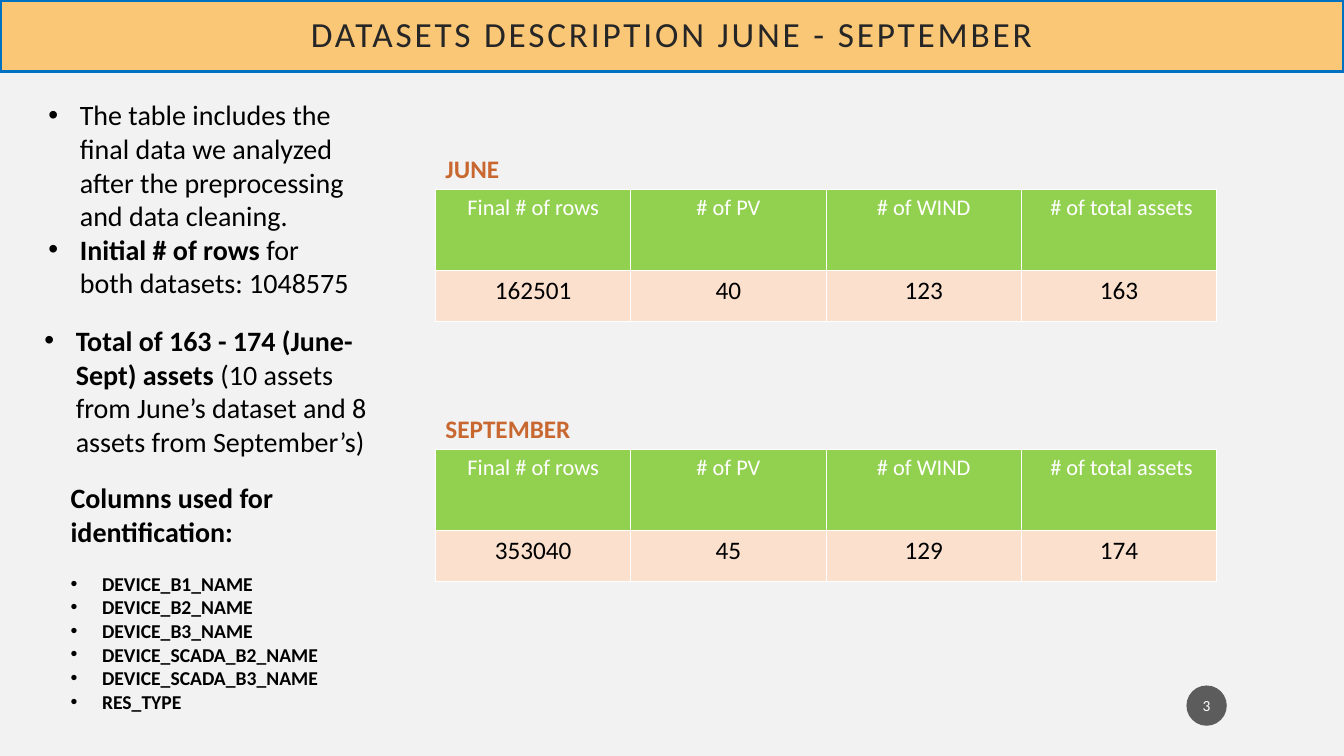
from dataclasses import dataclass

from lxml.etree import SubElement
from pptx import Presentation
from pptx.dml.color import RGBColor
from pptx.enum.shapes import MSO_SHAPE
from pptx.enum.text import MSO_ANCHOR, MSO_AUTO_SIZE, PP_ALIGN
from pptx.oxml.ns import qn
from pptx.util import Inches, Pt

# The slide is a grid of 100 columns by 100 rows
WIDTH, HEIGHT = Inches(13.33), Inches(7.5)
FONT = "Calibri"
INDENT = 2.34
BLACK, WHITE, ORANGE = "000000", "FFFFFF", "C96731"
HEADERS = ("Final # of rows", "# of PV", "# of WIND", " # of total assets")
TABLE_LEFT, COL_WIDTH = 32.41, 14.53
ROW_HEIGHTS = (10.75, 6.75)


@dataclass
class Box:
    left: float
    top: float
    width: float
    height: float


@dataclass
class Para:
    runs: list[tuple[str, bool]]
    size: float = 20
    bullet: bool = True
    after: float = 0


@dataclass
class TextList:
    idx: int
    box: Box
    paras: list[Para]


@dataclass
class Dataset:
    name: str
    top: float
    label_width: float
    values: tuple[str, ...]


LISTS = [
    TextList(1, Box(2.85, 12.27, 23.93, 28.27), [
        Para([("The table includes the final data we analyzed after the "
               "preprocessing and data cleaning.", False)]),
        Para([("Initial # of rows ", True),
              ("for both datasets: 1048575", False)]),
    ]),
    TextList(2, Box(2.55, 42.13, 27.38, 19.33), [
        Para([("Total of 163 - 174 (June-Sept) assets ", True),
              ("(10 assets from June’s dataset and 8 assets from "
               "September’s)", False)]),
    ]),
    TextList(3, Box(4.5, 62.93, 25.43, 32.27), [
        Para([("Columns used for identification:", True)],
             bullet=False, after=17),
        *(Para([(name, True)], size=14) for name in (
            "DEVICE_B1_NAME", "DEVICE_B2_NAME", "DEVICE_B3_NAME",
            "DEVICE_SCADA_B2_NAME", "DEVICE_SCADA_B3_NAME", "RES_TYPE")),
    ]),
]
DATASETS = [
    Dataset("JUNE", 25.07, 12.07, ("162501", "40", "123", "163")),
    Dataset("SEPTEMBER", 59.47, 15.45, ("353040", "45", "129", "174")),
]


def x(cols: float) -> int:
    return int(WIDTH * cols / 100)


def y(rows: float) -> int:
    return int(HEIGHT * rows / 100)


def area(box: Box) -> tuple[int, int, int, int]:
    return x(box.left), y(box.top), x(box.width), y(box.height)


def color(hex_code: str) -> RGBColor:
    return RGBColor.from_string(hex_code)


def paint(fill, hex_code: str) -> None:
    fill.solid()
    fill.fore_color.rgb = color(hex_code)


def place(sp, box: Box) -> None:
    sp.left, sp.top, sp.width, sp.height = area(box)


def add_run(p, text: str, size: float, hex_code: str, bold: bool = False):
    r = p.add_run()
    r.text = text
    r.font.name, r.font.size, r.font.bold = FONT, Pt(size), bold
    r.font.color.rgb = color(hex_code)
    return r


def set_bullet(p, shown: bool) -> None:
    pPr = p._p.get_or_add_pPr()
    indent = x(INDENT) if shown else 0
    pPr.set("marL", str(indent))
    pPr.set("indent", str(-indent))
    if shown:
        SubElement(pPr, qn("a:buFont")).set("typeface", "Arial")
        SubElement(pPr, qn("a:buChar")).set("char", "•")
    else:
        SubElement(pPr, qn("a:buNone"))


def add_title(slide, text: str) -> None:
    sp = slide.shapes.title
    place(sp, Box(0, 0, 100, 9.47))
    paint(sp.fill, "FAC777")
    sp.line.color.rgb, sp.line.width = color("0070C0"), Pt(2.5)
    tf = sp.text_frame
    tf.auto_size, tf.vertical_anchor = MSO_AUTO_SIZE.NONE, MSO_ANCHOR.MIDDLE
    tf.margin_left = tf.margin_right = Inches(0.2)
    tf.margin_top = tf.margin_bottom = Inches(0.2)
    p = tf.paragraphs[0]
    p.alignment, p.line_spacing = PP_ALIGN.CENTER, 0.9
    r = add_run(p, text, 25.2, "262626")
    r.font._element.set("spc", "200")


def fill_list(slide, item: TextList) -> None:
    sp = slide.placeholders[item.idx]
    place(sp, item.box)
    tf = sp.text_frame
    tf.auto_size, tf.vertical_anchor = MSO_AUTO_SIZE.NONE, MSO_ANCHOR.TOP
    for i, para in enumerate(item.paras):
        p = tf.add_paragraph() if i else tf.paragraphs[0]
        p.space_before, p.space_after = Pt(0), Pt(para.after)
        set_bullet(p, para.bullet)
        for text, bold in para.runs:
            add_run(p, text, para.size, BLACK, bold)


def add_borders(cell) -> None:
    tcPr = cell._tc.get_or_add_tcPr()
    for i, side in enumerate(("lnL", "lnR", "lnT", "lnB")):
        ln = tcPr.makeelement(qn(f"a:{side}"), {"w": str(Pt(1))})
        fill = SubElement(ln, qn("a:solidFill"))
        SubElement(fill, qn("a:srgbClr")).set("val", WHITE)
        tcPr.insert(i, ln)


def add_dataset(slide, data: Dataset) -> None:
    # Label above the table
    label = Box(TABLE_LEFT, data.top - 5.45, data.label_width, 5.33)
    tf = slide.shapes.add_textbox(*area(label)).text_frame
    tf.word_wrap = True
    add_run(tf.paragraphs[0], data.name, 18, ORANGE, True)

    # Header row and value row
    box = Box(TABLE_LEFT, data.top, COL_WIDTH * len(HEADERS), sum(ROW_HEIGHTS))
    table = slide.shapes.add_table(2, len(HEADERS), *area(box)).table
    styles = ((HEADERS, 16, WHITE, "92D050"), (data.values, 18, BLACK, "FBE0CD"))
    for i, (texts, size, ink, back) in enumerate(styles):
        table.rows[i].height = y(ROW_HEIGHTS[i])
        for j, text in enumerate(texts):
            cell = table.cell(i, j)
            paint(cell.fill, back)
            add_borders(cell)
            p = cell.text_frame.paragraphs[0]
            p.alignment = PP_ALIGN.CENTER
            add_run(p, text, size, ink)


def add_page_number(slide, number: str) -> None:
    box = Box(88.28, 90.67, 3, 5.33)
    sp = slide.shapes.add_shape(MSO_SHAPE.OVAL, *area(box))
    sp.shadow.inherit = False
    sp.line.fill.background()
    paint(sp.fill, "1D1D1D")
    clr = sp._element.spPr.find(qn("a:solidFill")).find(qn("a:srgbClr"))
    SubElement(clr, qn("a:alpha")).set("val", "70000")
    tf = sp.text_frame
    tf.margin_left = tf.margin_right = Inches(0.02)
    tf.vertical_anchor = MSO_ANCHOR.MIDDLE
    p = tf.paragraphs[0]
    p.alignment = PP_ALIGN.CENTER
    add_run(p, number, 11, WHITE)


def main() -> None:
    prs = Presentation()
    prs.slide_width, prs.slide_height = WIDTH, HEIGHT
    slide = prs.slides.add_slide(prs.slide_layouts.get_by_name("Comparison"))
    paint(slide.background.fill, "F2F2F2")
    add_title(slide, "DATASETS DESCRIPTION JUNE - SEPTEMBER")
    for item in LISTS:
        fill_list(slide, item)
    spare = slide.placeholders[4]._element
    spare.getparent().remove(spare)
    for data in DATASETS:
        add_dataset(slide, data)
    add_page_number(slide, "3")
    prs.save("out.pptx")


if __name__ == "__main__":
    main()
